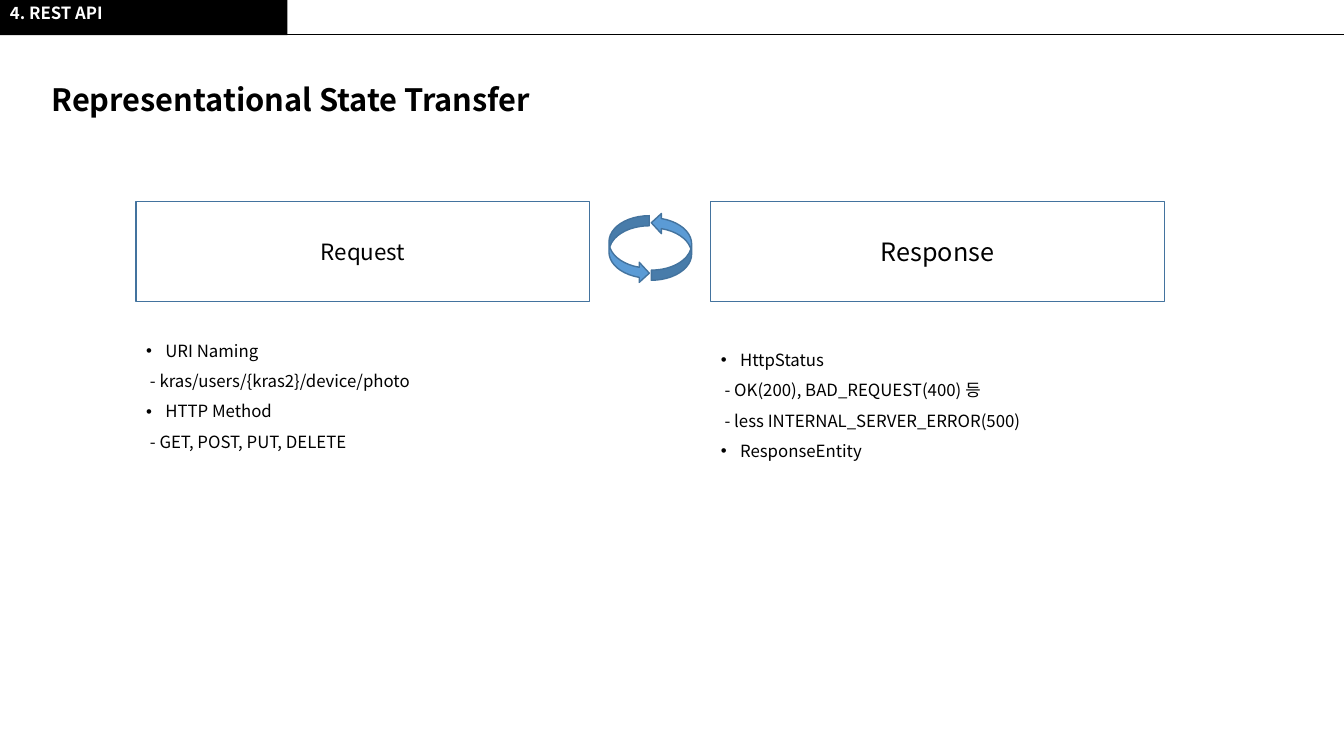
from lxml.etree import SubElement
from pptx import Presentation
from pptx.dml.color import RGBColor
from pptx.enum.shapes import MSO_CONNECTOR as Line, MSO_SHAPE as Shape
from pptx.enum.text import MSO_ANCHOR as Anchor, MSO_AUTO_SIZE as Fit, PP_ALIGN as Align
from pptx.oxml.ns import qn
from pptx.util import Inches, Pt

BLUE, EDGE = "5B9BD5", "43739E"
BLACK, WHITE = "000000", "FFFFFF"


def paint(target, color):
    if hasattr(target, "solid"):
        target.solid()
        target.fore_color.rgb = RGBColor.from_string(color)
    else:
        target.color.rgb = RGBColor.from_string(color)


def style(para, size, color=BLACK, bold=False):
    para.font.name = "Noto Sans CJK KR"
    para.font.size = Pt(size)
    para.font.bold = bold
    paint(para.font, color)


deck = Presentation()
deck.slide_width, deck.slide_height = Inches(13.33), Inches(7.5)
slide = deck.slides.add_slide(deck.slide_layouts[3])
shapes = slide.shapes
title, *lists = list(slide.placeholders)[:3]
for extra in list(slide.placeholders)[3:]:
    extra.element.getparent().remove(extra.element)

band = shapes.add_shape(Shape.RECTANGLE, 0, 0, Inches(2.85), Inches(0.35))
band.shadow.inherit = False
paint(band.fill, BLACK)
band.line.fill.background()

rule = shapes.add_connector(Line.STRAIGHT, Inches(2.76), Inches(0.34), Inches(13.33), Inches(0.34))
SubElement(rule.element.spPr, qn("a:effectLst"))
rule.line.width = Pt(0.5)
paint(rule.line, BLACK)

label = shapes.add_textbox(0, Inches(0.03), Inches(2.85), Inches(0.32)).text_frame
label.word_wrap = True
label.margin_top = Inches(0.02)
label.text = "4. REST API"
label.paragraphs[0].line_spacing = 0.9
style(label.paragraphs[0], 12, WHITE, True)

title.left, title.top, title.width, title.height = map(Inches, (0.41, 0.63, 11.98, 0.59))
frame = title.text_frame
frame.text = "Representational State Transfer"
frame.vertical_anchor = Anchor.TOP
frame.auto_size = Fit.NONE
para = frame.paragraphs[0]
para.alignment = Align.LEFT
para.line_spacing = Pt(35)
style(para, 22, bold=True)

sides = [
    ("Request", 16, 1.35, 3.23, [
        "URI Naming", " - kras/users/{kras2}/device/photo",
        "HTTP Method", " - GET, POST, PUT, DELETE"]),
    ("Response", 18, 7.05, 3.32, [
        "HttpStatus", " - OK(200), BAD_REQUEST(400) 등",
        " - less INTERNAL_SERVER_ERROR(500)", "ResponseEntity"]),
]
for (name, size, left, top, items), holder in zip(sides, lists):
    box = shapes.add_shape(Shape.RECTANGLE, Inches(left), Inches(2), Inches(4.5), Inches(0.99))
    box.shadow.inherit = False
    paint(box.fill, WHITE)
    paint(box.line, EDGE)
    box.line.width = Pt(1)
    box.text_frame.text = name
    box.text_frame.vertical_anchor = Anchor.MIDDLE
    head = box.text_frame.paragraphs[0]
    head.alignment = Align.CENTER
    style(head, size)

    holder.left, holder.top, holder.width, holder.height = map(Inches, (left, top, 4.5, 1.27))
    frame = holder.text_frame
    frame.text = "\n".join(items)
    frame.auto_size = Fit.NONE
    for para, item in zip(frame.paragraphs, items):
        para.line_spacing = 1.5
        para.space_before = Pt(0)
        props = para._p.get_or_add_pPr()
        sub = item.startswith(" -")
        indent = 0 if sub else Inches(0.19)
        props.set("marL", str(indent))
        props.set("indent", str(-indent))
        if sub:
            SubElement(props, qn("a:buNone"))
        else:
            SubElement(props, qn("a:buFont"), typeface="Arial")
            SubElement(props, qn("a:buChar"), char="•")
        style(para, 12)

for left, top, turn in [(6.04, 2.14, 0), (6.46, 2.11, 180)]:
    arrow = shapes.add_shape(Shape.CURVED_RIGHT_ARROW, Inches(left), Inches(top), Inches(0.4), Inches(0.67))
    arrow.shadow.inherit = False
    arrow.rotation = turn
    paint(arrow.fill, BLUE)
    paint(arrow.line, EDGE)
    arrow.line.width = Pt(1)

deck.save("out.pptx")
